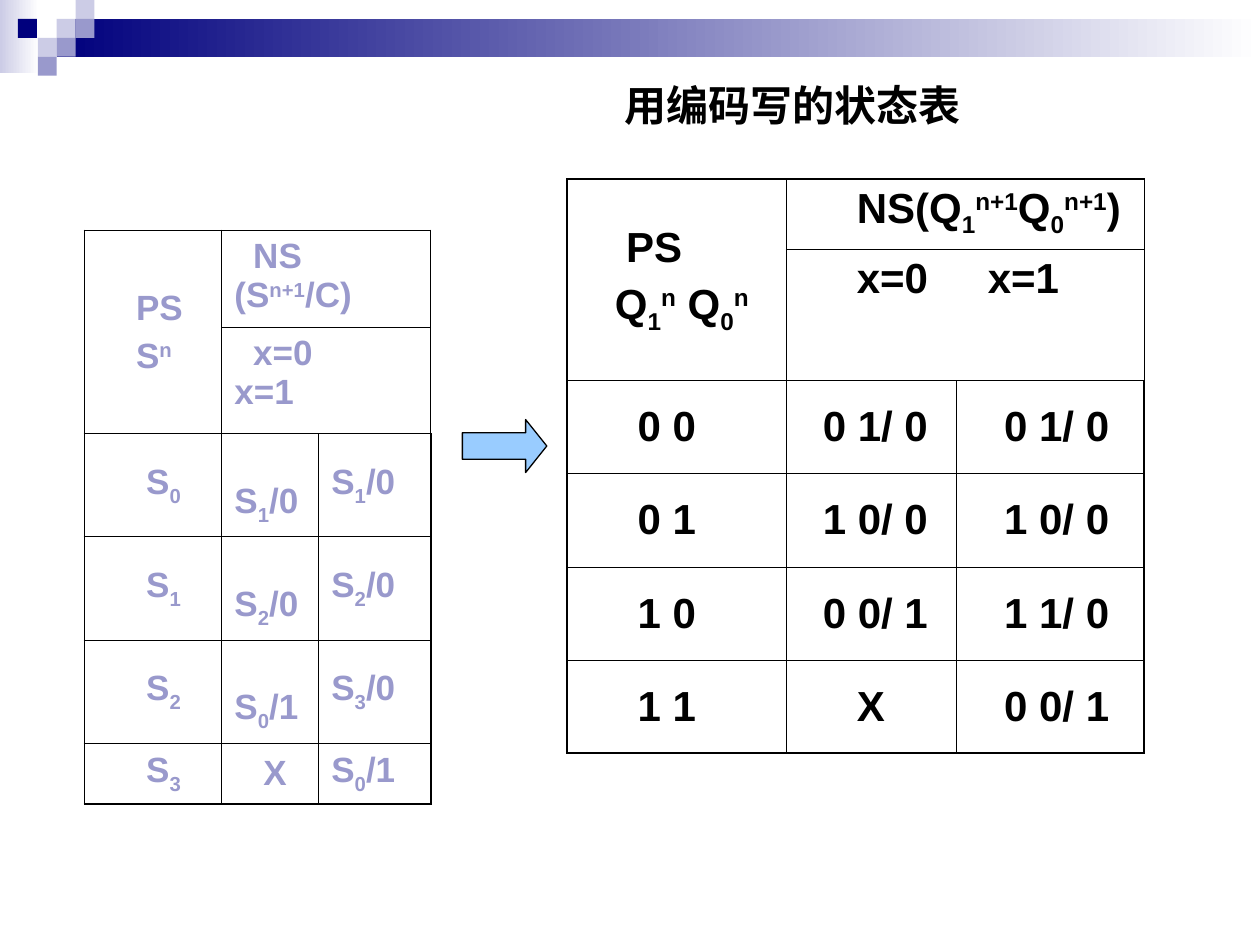
"""Build a slide that turns a symbolic state table into a coded one."""
from dataclasses import dataclass

from lxml.etree import SubElement
from pptx import Presentation
from pptx.dml.color import RGBColor
from pptx.enum.shapes import MSO_SHAPE as Shape
from pptx.enum.text import MSO_ANCHOR as Anchor, MSO_AUTO_SIZE as AutoSize, PP_ALIGN as Align
from pptx.oxml import parse_xml
from pptx.oxml.ns import nsdecls, qn
from pptx.util import Emu, Inches, Pt


@dataclass(frozen=True)
class Theme:
    """Colours, fonts and sizes of the slide."""
    navy: str = "00007D"
    lavender: str = "9999CC"
    mist: str = "CCCCE6"
    sky: str = "99CCFF"
    ink: str = "000000"
    paper: str = "FFFFFF"
    title_font: str = "Times New Roman"
    table_font: str = "Arial"
    large: int = 24
    medium: int = 20
    thick: float = 1.08
    thin: float = 0.45
    outline: float = 0.75


@dataclass(frozen=True)
class Area:
    """A rectangle measured in grid units."""
    left: float
    top: float
    width: float
    height: float


@dataclass(frozen=True)
class Entry:
    """Cell text, with | between runs, _ for subscript and ^ for superscript."""
    lines: tuple
    indents: tuple = (0,)
    tab: float = 0
    drop: float = 0


@dataclass(frozen=True)
class StateTable:
    """A state table with a two-row header."""
    left: float
    top: float
    columns: tuple
    rows: tuple
    size: int
    color: str
    state: Entry
    next_state: Entry
    inputs: Entry
    body: list


THEME = Theme()
TILE = 1.5
TILES = [(3, 1, THEME.mist), (4, 0, THEME.mist), (4, 1, THEME.lavender),
         (2, 2, THEME.mist), (0.95, 1, THEME.navy), (3, 2, THEME.lavender),
         (2, 3, THEME.lavender)]
CODED = StateTable(
    45, 14.2, (17.4, 13.5, 14.9), (5.6, 10.4) + (7.4,) * 4, THEME.large, THEME.ink,
    Entry(("PS", "Q|_1|^n| Q|_0|^n"), (3.7, 2.8)),
    Entry(("NS(Q|_1|^n+1|Q|_0|^n+1|)",), (4.6,)),
    Entry(("x=0\tx=1",), (4.6,), tab=16.8),
    [(Entry((code,), (4.6,)), Entry((zero,), (4.6 if zero == "X" else 1.9,)),
      Entry((one,), (2.8,)))
     for code, zero, one in [("0 0", "0 1/ 0", "0 1/ 0"), ("0 1", "1 0/ 0", "1 0/ 0"),
                             ("1 0", "0 0/ 1", "1 1/ 0"), ("1 1", "X", "0 0/ 1")]])
SYMBOLIC = StateTable(
    6.7, 18.3, (10.9, 7.7, 8.9), (7.7, 8.4) + (8.2,) * 3 + (4.8,), THEME.medium, THEME.lavender,
    Entry(("PS", "S|^n"), (3.1, 3.1)),
    Entry(("NS (S|^n+1|/C)",), (1.5,)),
    Entry(("x=0\tx=1",), (1.5,), tab=9.3),
    [(Entry((f"S|_{state}",), (3.9,)),
      Entry((zero,), (2.3,)) if zero == "X" else Entry((zero,), drop=3),
      Entry((one,)))
     for state, (zero, one) in enumerate([("S|_1|/0", "S|_1|/0"), ("S|_2|/0", "S|_2|/0"),
                                          ("S|_0|/1", "S|_3|/0"), ("X", "S|_0|/1")])])


def units(count: float) -> Emu:
    """Convert grid units, each a hundredth of the slide width, to a length."""
    return Inches(count / 10)


def rgb(color: str) -> RGBColor:
    """Turn a hex string into a colour."""
    return RGBColor.from_string(color)


def place(area: Area) -> tuple:
    """Give the left, top, width and height of an area."""
    return tuple(units(side) for side in (area.left, area.top, area.width, area.height))


def add_block(page, area: Area, *colors: str, kind=Shape.RECTANGLE):
    """Draw an unlined shape, with a gradient when two colours are given."""
    block = page.shapes.add_shape(kind, *place(area))
    block.shadow.inherit = False
    block.line.fill.background()
    if len(colors) == 1:
        block.fill.solid()
        block.fill.fore_color.rgb = rgb(colors[0])
    else:
        block.fill.gradient()
        block.fill.gradient_angle = 0
        for position, (stop, color) in enumerate(zip(block.fill.gradient_stops, colors)):
            stop.position = position
            stop.color.rgb = rgb(color)
    return block


def style_font(font, name: str, size: int, color: str) -> None:
    """Set a bold font."""
    font.name, font.size, font.bold = name, Pt(size), True
    font.color.rgb = rgb(color)


def write_entry(cell, entry: Entry, table: StateTable) -> None:
    """Write the lines of an entry into a cell."""
    frame = cell.text_frame
    cell.margin_top = units(0.5 + entry.drop)
    for index, (line, indent) in enumerate(zip(entry.lines, entry.indents)):
        para = frame.add_paragraph() if index else frame.paragraphs[0]
        if index:
            para.space_before = Pt(table.size / 4)
        properties = para._p.get_or_add_pPr()
        properties.set("marL", "0")
        properties.set("indent", str(units(indent)))
        if entry.tab:
            stops = SubElement(properties, qn("a:tabLst"))
            SubElement(stops, qn("a:tab"), pos=str(units(entry.tab)), algn="l")
        for piece in line.split("|"):
            span = para.add_run()
            span.text = piece.lstrip("_^")
            style_font(span.font, THEME.table_font, table.size, table.color)
            shift = {"_": "-25000", "^": "30000"}.get(piece[0])
            if shift:
                span.font._element.set("baseline", shift)


def set_borders(cell, outer: tuple) -> None:
    """Line a cell, thicker on the left, right, top and bottom outer edges."""
    cell.fill.background()
    properties = cell._tc.get_or_add_tcPr()
    for index, (side, edge) in enumerate(zip("LRTB", outer)):
        width = Pt(THEME.thick if edge else THEME.thin)
        properties.insert(index, parse_xml(
            f'<a:ln{side} {nsdecls("a")} w="{width}"><a:solidFill>'
            f'<a:srgbClr val="{THEME.ink}"/></a:solidFill></a:ln{side}>'))


def add_state_table(page, table: StateTable) -> None:
    """Draw a state table."""
    area = Area(table.left, table.top, sum(table.columns), sum(table.rows))
    last_row, last_column = len(table.rows) - 1, len(table.columns) - 1
    grid = page.shapes.add_table(last_row + 1, last_column + 1, *place(area)).table
    grid.first_row = grid.horz_banding = False
    for column, width in zip(grid.columns, table.columns):
        column.width = units(width)
    for row, height in zip(grid.rows, table.rows):
        row.height = units(height)
    for start, end in [((0, 0), (1, 0)), ((0, 1), (0, 2)), ((1, 1), (1, 2))]:
        grid.cell(*start).merge(grid.cell(*end))
    entries = [(table.state, table.next_state), (None, table.inputs), *table.body]
    for row in range(last_row + 1):
        for column in range(last_column + 1):
            cell = grid.cell(row, column)
            set_borders(cell, (column == 0, column == last_column, row == 0, row == last_row))
            cell.vertical_anchor = Anchor.TOP if row < 2 and column else Anchor.MIDDLE
            if not cell.is_spanned:
                write_entry(cell, entries[row][column], table)


def add_title(page, text: str) -> None:
    """Move and format the title placeholder."""
    title = page.shapes.title
    title.left, title.top, title.width, title.height = place(Area(47.5, 5.8, 30.8, 5))
    frame = title.text_frame
    frame.text = text
    frame.auto_size, frame.vertical_anchor = AutoSize.NONE, Anchor.MIDDLE
    para = frame.paragraphs[0]
    para.alignment = Align.CENTER
    style_font(para.runs[0].font, THEME.title_font, THEME.large, THEME.ink)


def main() -> None:
    """Assemble and save the deck."""
    deck = Presentation()
    deck.slide_width, deck.slide_height = units(100), units(75)
    page = deck.slides.add_slide(deck.slide_layouts[5])
    add_block(page, Area(0, 0, 3.1, 5.8), THEME.mist, THEME.paper)
    add_block(page, Area(4.5, 1.5, 95.5, 3), THEME.navy, THEME.paper)
    for column, row, color in TILES:
        add_block(page, Area(column * TILE, row * TILE, TILE, TILE), color)
    add_title(page, "用编码写的状态表")
    for table in (CODED, SYMBOLIC):
        add_state_table(page, table)
    arrow = add_block(page, Area(36.7, 33.3, 6.7, 4.2), THEME.sky, kind=Shape.RIGHT_ARROW)
    arrow.adjustments[0], arrow.adjustments[1] = 0.5, 0.4
    arrow.line.color.rgb = rgb(THEME.ink)
    arrow.line.width = Pt(THEME.outline)
    deck.save("out.pptx")


if __name__ == "__main__":
    main()
